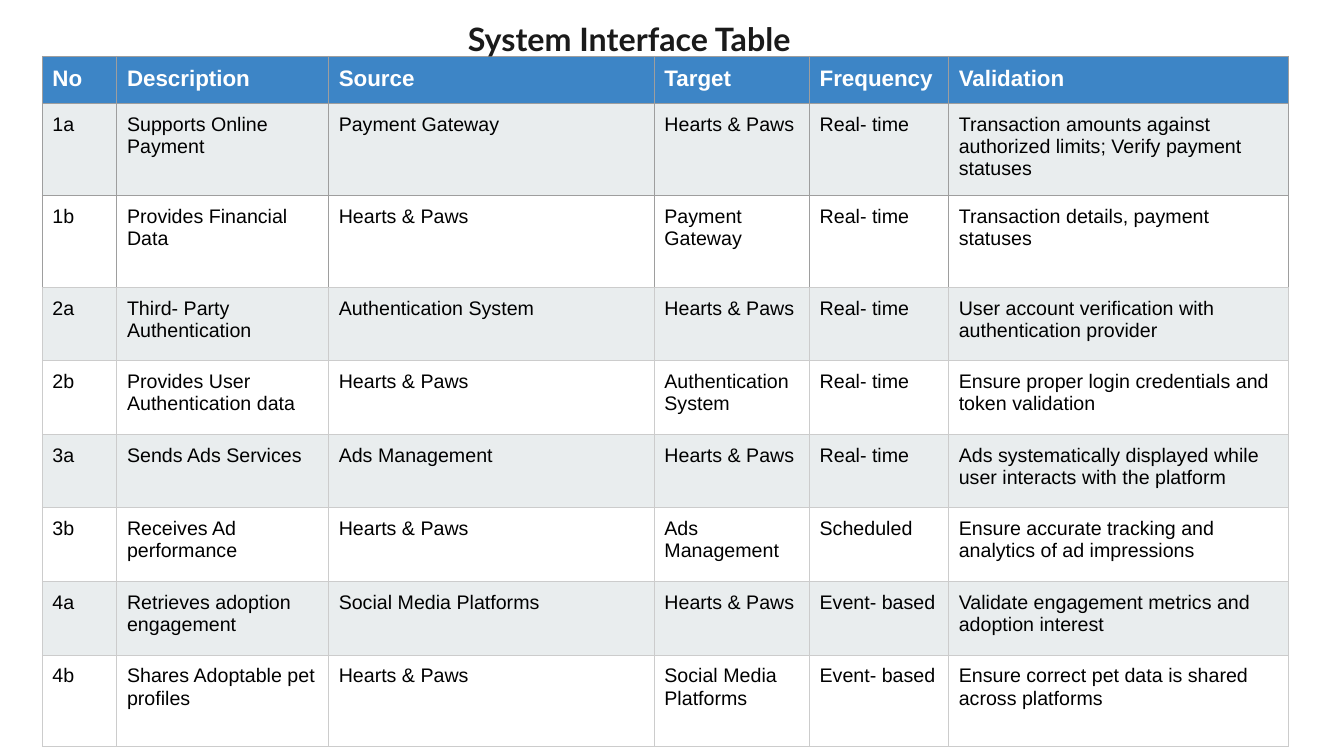
from dataclasses import dataclass

from lxml.etree import SubElement as Sub
from pptx import Presentation
from pptx.dml.color import RGBColor as RGB
from pptx.enum.text import MSO_ANCHOR as Anchor, MSO_AUTO_SIZE as Fit, PP_ALIGN as Align
from pptx.oxml.ns import qn
from pptx.util import Inches, Pt


@dataclass(frozen=True)
class Theme:
    ink: str = "1A1A1A"
    text: str = "000000"
    white: str = "FFFFFF"
    head: str = "3D85C6"
    band: str = "E9EDEE"
    dark: str = "9E9E9E"
    light: str = "CCCCCC"
    title_font: str = "Lato"
    font: str = "Arial"
    title_size: int = 23
    head_size: int = 16
    size: int = 14
    line: float = 0.75
    pad: float = 0.1


T = Theme()
APP, PAY, AUTH = "Hearts & Paws", "Payment Gateway", "Authentication System"
ADS, SOCIAL = "Ads Management", "Social Media Platforms"
LIVE, EVENT = "Real- time", "Event- based"

COLS = [0.74, 2.1, 3.23, 1.54, 1.38, 3.37]
HEIGHTS = [0.47, 0.91, 0.91] + [0.73] * 5 + [0.91]
ROWS = [
    ("No", "Description", "Source", "Target", "Frequency", "Validation"),
    ("1a", "Supports Online Payment", PAY, APP, LIVE,
     "Transaction amounts against authorized limits; Verify payment statuses"),
    ("1b", "Provides Financial Data", APP, PAY, LIVE,
     "Transaction details, payment statuses"),
    ("2a", "Third- Party Authentication", AUTH, APP, LIVE,
     "User account verification with authentication provider"),
    ("2b", "Provides User Authentication data", APP, AUTH, LIVE,
     "Ensure proper login credentials and token validation"),
    ("3a", "Sends Ads Services", ADS, APP, LIVE,
     "Ads systematically displayed while user interacts with the platform"),
    ("3b", "Receives Ad performance", APP, ADS, "Scheduled",
     "Ensure accurate tracking and analytics of ad impressions"),
    ("4a", "Retrieves adoption engagement", SOCIAL, APP, EVENT,
     "Validate engagement metrics and adoption interest"),
    ("4b", "Shares Adoptable pet profiles", APP, SOCIAL, EVENT,
     "Ensure correct pet data is shared across platforms"),
]


def pad(item):
    item.margin_left = item.margin_right = Inches(T.pad)
    item.margin_top = item.margin_bottom = Inches(T.pad)
    item.vertical_anchor = Anchor.TOP
    item.word_wrap = True


def write(frame, text, font, size, color, bold):
    para = frame.paragraphs[0]
    para.alignment = Align.LEFT
    run = para.add_run()
    run.text = text
    run.font.name = font
    run.font.size = Pt(size)
    run.font.bold = bold
    run.font.color.rgb = RGB.from_string(color)


def edge(cell, row):
    # Grey edges are darker around the first three rows
    side = T.dark if row < 3 else T.light
    top = side if row != 3 else T.light
    base = T.dark if row < 2 else T.light
    props = cell._tc.get_or_add_tcPr()
    for tag, color in (("lnL", side), ("lnR", side), ("lnT", top), ("lnB", base)):
        line = Sub(props, qn(f"a:{tag}"), w=str(Pt(T.line)))
        Sub(Sub(line, qn("a:solidFill")), qn("a:srgbClr"), val=color)


def paint(cell, row):
    if row and row % 2 == 0:
        cell.fill.background()
    else:
        cell.fill.solid()
        cell.fill.fore_color.rgb = RGB.from_string(T.band if row else T.head)


def add_grid(slide, left, top):
    box = map(Inches, (left, top, sum(COLS), sum(HEIGHTS)))
    table = slide.shapes.add_table(len(ROWS), len(COLS), *box).table
    table.first_row = table.horz_banding = False
    for col, width in zip(table.columns, COLS):
        col.width = Inches(width)
    for i, (row, height) in enumerate(zip(table.rows, HEIGHTS)):
        row.height = Inches(height)
        look = (T.size, T.text, False) if i else (T.head_size, T.white, True)
        for cell, text in zip(row.cells, ROWS[i]):
            pad(cell)
            edge(cell, i)
            paint(cell, i)
            write(cell.text_frame, text, T.font, *look)


def add_title(slide, left, top, width, height):
    title = slide.shapes.title
    title.left, title.top = Inches(left), Inches(top)
    title.width, title.height = Inches(width), Inches(height)
    frame = title.text_frame
    frame.auto_size = Fit.NONE
    pad(frame)
    write(frame, "System Interface Table", T.title_font, T.title_size, T.ink, True)
    # Bring the title in front of the table
    slide.shapes._spTree.append(title._element)


def main():
    deck = Presentation()
    deck.slide_width, deck.slide_height = Inches(13.33), Inches(7.5)
    slide = deck.slides.add_slide(deck.slide_layouts[5])
    add_grid(slide, 0.42, 0.56)
    add_title(slide, 4.54, 0.09, 3.89, 0.36)
    deck.save("out.pptx")


if __name__ == "__main__":
    main()
